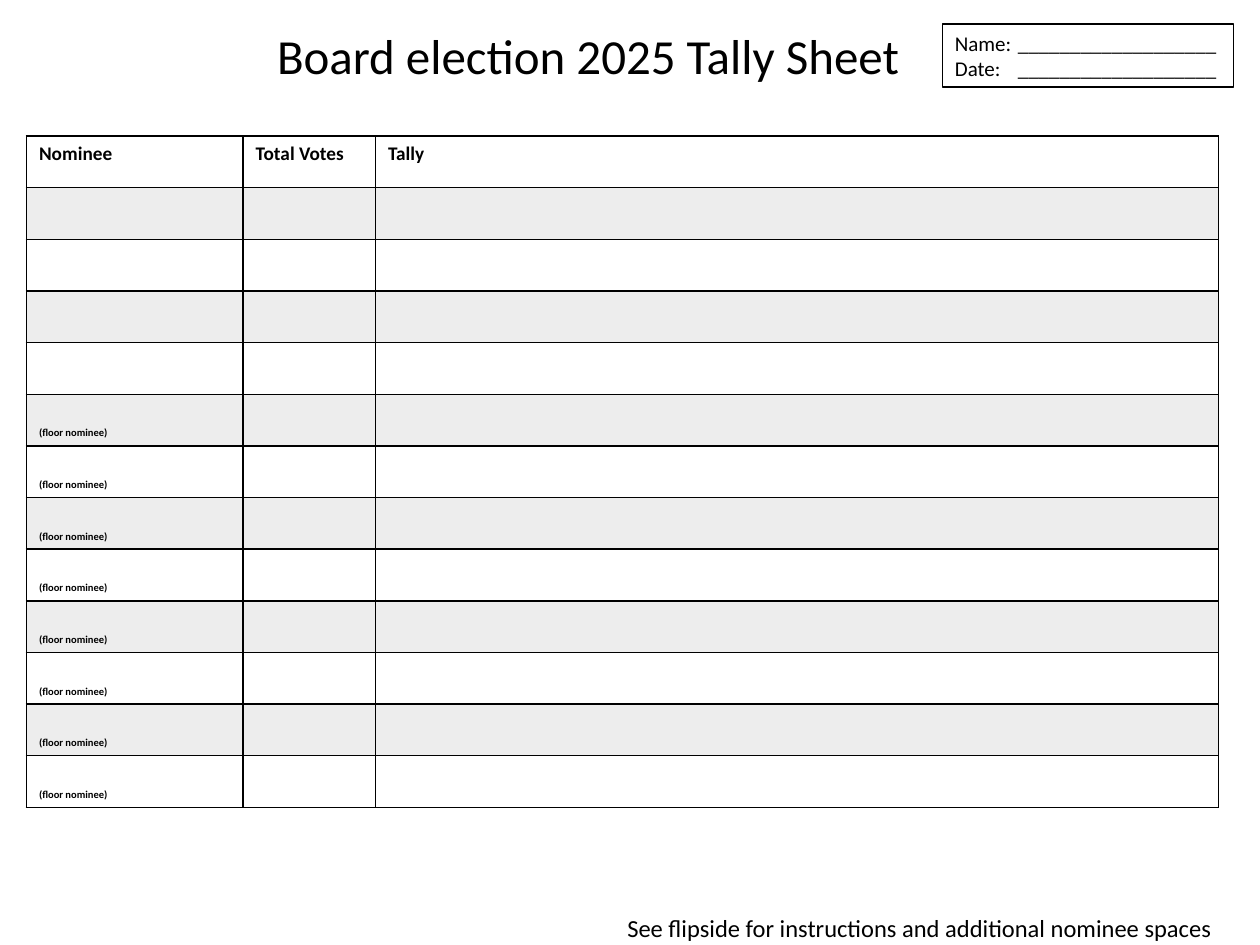
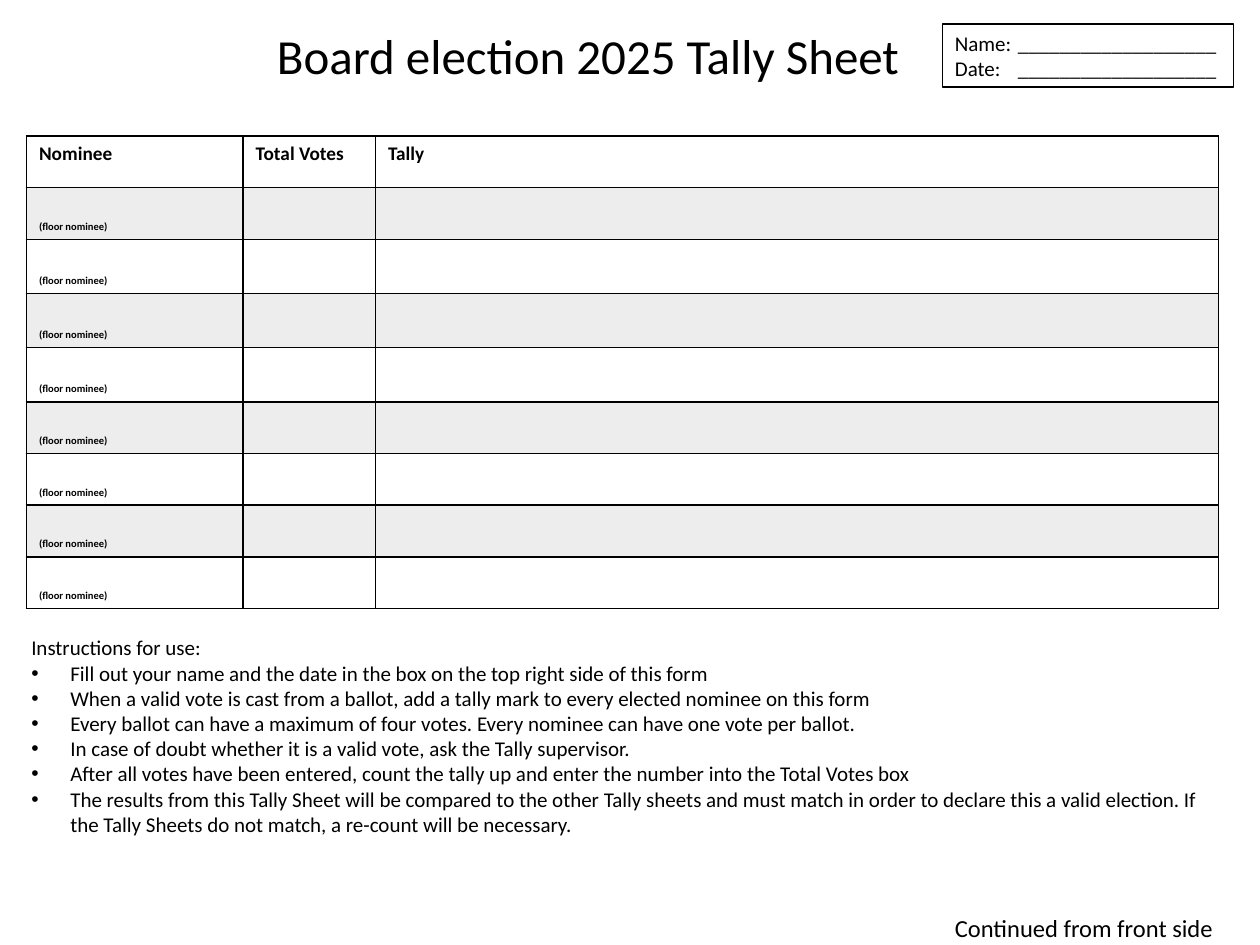
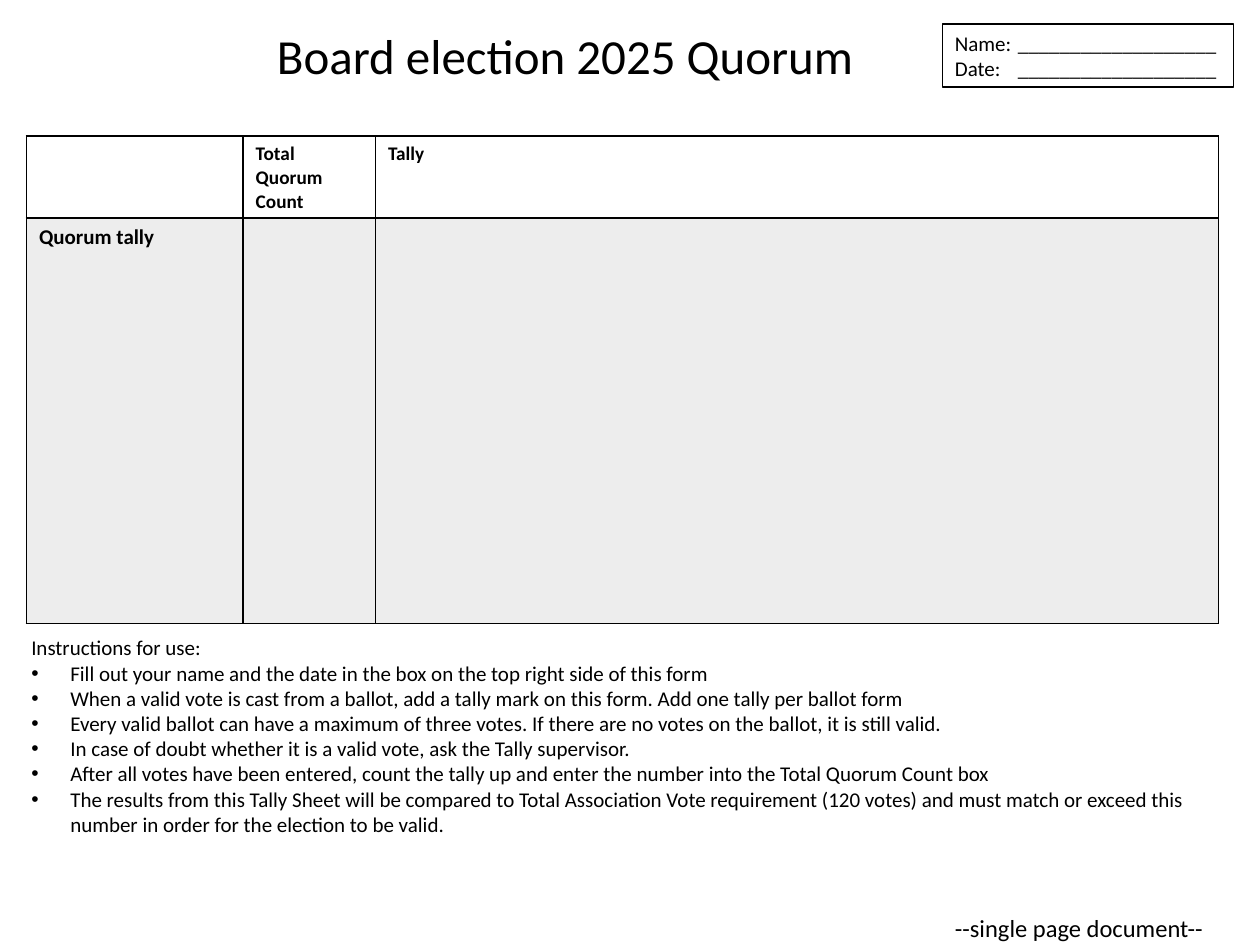
from lxml import etree
from pptx import Presentation
from pptx.dml.color import RGBColor
from pptx.enum.shapes import MSO_SHAPE
from pptx.enum.text import MSO_ANCHOR, MSO_AUTO_SIZE, PP_ALIGN
from pptx.oxml.ns import qn
from pptx.util import Inches, Pt

RECT = MSO_SHAPE.RECTANGLE
BOTTOM = MSO_ANCHOR.BOTTOM
LEFT = PP_ALIGN.LEFT
GROW = MSO_AUTO_SIZE.SHAPE_TO_FIT_TEXT

BLACK = RGBColor(0x00, 0x00, 0x00)
GREY = RGBColor(0xA5, 0xA5, 0xA5)
FONT = "Calibri"

COLS = (1.72, 1.05, 6.69)
ROW = 0.41
TALL = 0.43
FLOOR = "(floor nominee)"
HEADS = ("Nominee", "Total Votes", "Tally")

FILL_OUT = "Fill out your name and the date in the box on the top right side of this form"
DOUBT = "In case of doubt whether it is a valid vote, ask the Tally supervisor."
COUNT = "After all votes have been entered, count the tally up and enter the number into the {} box"

TALLY_STEPS = (
    FILL_OUT,
    "When a valid vote is cast from a ballot, add a tally mark to every elected nominee on this form",
    "Every ballot can have a maximum of four votes. Every nominee can have one vote per ballot.",
    DOUBT,
    COUNT.format("Total Votes"),
    "The results from this Tally Sheet will be compared to the other Tally sheets and must match "
    "in order to declare this a valid election. If the Tally Sheets do not match, "
    "a re-count will be necessary.",
)
QUORUM_STEPS = (
    FILL_OUT,
    "When a valid vote is cast from a ballot, add a tally mark on this form. "
    "Add one tally per ballot form",
    "Every valid ballot can have a maximum of three votes. "
    "If there are no votes on the ballot, it is still valid.",
    DOUBT,
    COUNT.format("Total Quorum Count"),
    "The results from this Tally Sheet will be compared to Total Association Vote requirement "
    "(120 votes) and must match or exceed this number in order for the election to be valid.",
)


def add_node(parent, tag, **attrs):
    node = etree.SubElement(parent, qn(tag))
    for key, value in attrs.items():
        node.set(key, str(value))
    return node


def style(frame, size, bold=False):
    for para in frame.paragraphs:
        para.alignment = LEFT
        for run in para.runs:
            run.font.name = FONT
            run.font.size = Pt(size)
            run.font.bold = bold
            run.font.color.rgb = BLACK


def add_text(slide, text, size, left, top, width, height, wrap=False):
    box = slide.shapes.add_textbox(Inches(left), Inches(top), Inches(width), Inches(height))
    frame = box.text_frame
    frame.text = text
    frame.word_wrap = wrap
    frame.auto_size = GROW
    style(frame, size)
    return frame


def add_name_box(slide):
    box = slide.shapes.add_shape(RECT, Inches(7.48), Inches(0.19), Inches(2.31), Inches(0.5))
    box.shadow.inherit = False
    box.fill.background()
    box.line.color.rgb = BLACK
    box.line.width = Pt(0.75)
    frame = box.text_frame
    frame.text = "\n".join(f"{label}:\t{'_' * 19}" for label in ("Name", "Date"))
    frame.word_wrap = False
    frame.auto_size = GROW
    style(frame, 12)
    for para in frame.paragraphs:
        tabs = add_node(para._p.get_or_add_pPr(), "a:tabLst")
        add_node(tabs, "a:tab", pos=Inches(0.5), algn="l")


def add_steps(slide, steps):
    text = "\n".join(("Instructions for use:", *steps))
    frame = add_text(slide, text, 12, 0.15, 4.99, 9.64, 1.72, wrap=True)
    for para in frame.paragraphs[1:]:
        props = para._p.get_or_add_pPr()
        props.set("marL", str(Inches(0.31)))
        props.set("indent", str(-Inches(0.31)))
        add_node(props, "a:buFont", typeface="Arial")
        add_node(props, "a:buChar", char="•")


def format_cell(cell, shaded):
    """Draw the black grid and the translucent band of one cell."""
    props = cell._tc.get_or_add_tcPr()
    for side in ("a:lnL", "a:lnR", "a:lnT", "a:lnB"):
        line = add_node(props, side, w=Pt(1))
        add_node(add_node(line, "a:solidFill"), "a:srgbClr", val=BLACK)
    if shaded:
        cell.fill.solid()
        cell.fill.fore_color.rgb = GREY
        add_node(next(props.find(qn("a:solidFill")).iter(qn("a:srgbClr"))), "a:alpha", val=20000)
    else:
        cell.fill.background()


def add_grid(slide, heads, labels, heights):
    """Add a tally table: a heading row, then one row for each label."""
    frame = slide.shapes.add_table(len(heights), len(COLS), Inches(0.21), Inches(1.08),
                                   Inches(sum(COLS)), Inches(sum(heights)))
    table = frame.table
    table.first_row = table.horz_banding = False
    for col, width in zip(table.columns, COLS):
        col.width = Inches(width)
    rows = [heads] + [(label, "", "") for label in labels]
    for r, (texts, height) in enumerate(zip(rows, heights)):
        table.rows[r].height = Inches(height)
        for c, text in enumerate(texts):
            cell = table.cell(r, c)
            format_cell(cell, r % 2 == 1)
            if text:
                cell.text_frame.text = text
                size = 6 if text == FLOOR else 12 if r else 11
                style(cell.text_frame, size, bold=True)
            if text == FLOOR:
                cell.vertical_anchor = BOTTOM


def add_sheet(deck, title, width, grid, footer, steps=()):
    """Add a slide; width is that of the title, footer is (text, left, width)."""
    slide = deck.slides.add_slide(deck.slide_layouts[6])
    add_text(slide, title, 28, 2.1, 0.15, width, 0.57)
    add_grid(slide, *grid)
    add_name_box(slide)
    text, left, span = footer
    add_text(slide, text, 14, left, 7.2, span, 0.34)
    if steps:
        add_steps(slide, steps)


def main():
    deck = Presentation()
    deck.slide_width = Inches(10)
    deck.slide_height = Inches(7.5)
    title = "Board election 2025 Tally Sheet"
    add_sheet(deck, title, 5.39,
              (HEADS, [""] * 4 + [FLOOR] * 8, [ROW] * 13),
              ("See flipside for instructions and additional nominee spaces", 4.88, 4.89))
    add_sheet(deck, title, 5.2,
              (HEADS, [FLOOR] * 8, [ROW] * 2 + [TALL] * 3 + [ROW] * 4),
              ("Continued from front side", 7.48, 2.27), TALLY_STEPS)
    add_sheet(deck, "Board election 2025 Quorum", 4.83,
              (("", "Total Quorum Count", "Tally"), ["Quorum tally"], [0.65, 3.22]),
              ("--single page document--", 7.48, 2.19), QUORUM_STEPS)
    deck.save("out.pptx")


if __name__ == "__main__":
    main()
